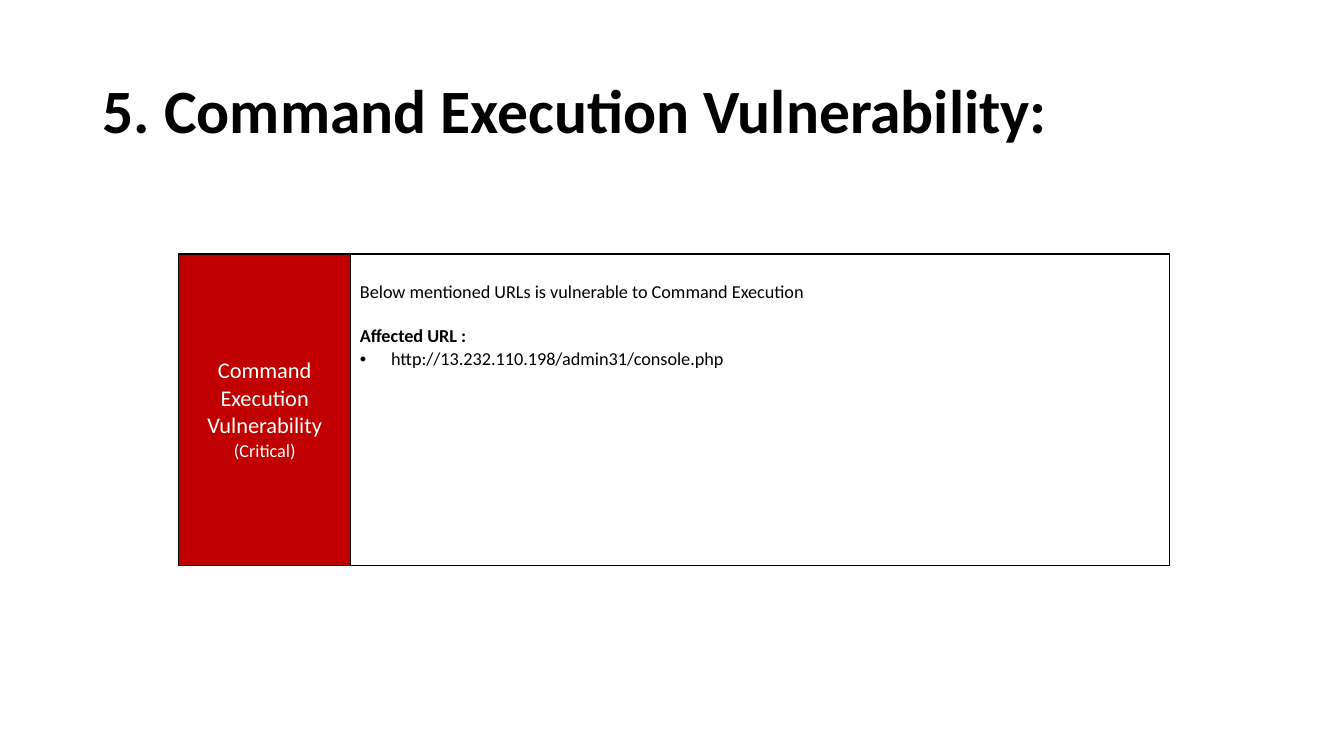
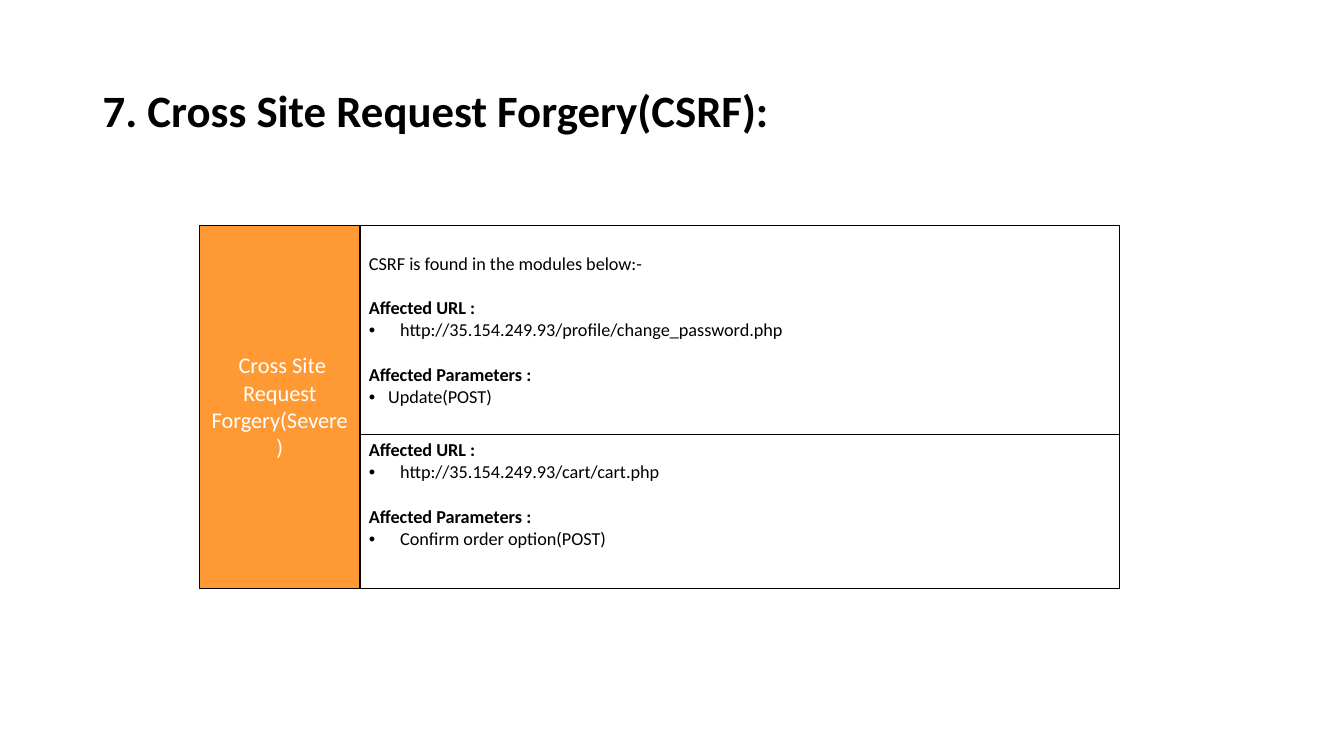
from lxml.etree import SubElement
from pptx import Presentation
from pptx.dml.color import RGBColor
from pptx.enum.text import MSO_ANCHOR, PP_ALIGN
from pptx.oxml.ns import qn
from pptx.util import Inches, Pt

FONT = "Calibri"
BLACK, WHITE, CRITICAL, SEVERE = "000000", "FFFFFF", "C00000", "FF9933"
BODY_SIZE = 13
BLANK_LINE = 15.9
SIDE_MARGIN, EDGE_MARGIN, TOP_GAP = 0.09, 0.05, 0.27
WIDE, NARROW = 0.31, 0.19
ALL_SIDES = ("lnL", "lnR", "lnT", "lnB")

# Each detail line: text, kind ("text", "heading" or "bullet"), bullet indent, gap above
SLIDES = [
    {
        "title": ("5. Command Execution Vulnerability:", 44),
        "position": (1.77, 2),
        "columns": (1.71, 8.12),
        "header": 0.52,
        "color": CRITICAL,
        "label": [("Command Execution Vulnerability", 16), ("(Critical)", 13)],
        "rows": [
            (3.09, TOP_GAP, [
                ("Below mentioned URLs is vulnerable to Command Execution", "text", 0, False),
                ("Affected URL :", "heading", 0, True),
                ("http://13.232.110.198/admin31/console.php", "bullet", WIDE, False),
            ]),
        ],
    },
    {
        "title": ("7. Cross Site Request Forgery(CSRF):", 32),
        "position": (1.98, 1.93),
        "columns": (1.59, 7.53),
        "header": 0.31,
        "color": SEVERE,
        "label": [(" Cross Site Request Forgery(Severe)", 16)],
        "rows": [
            (2.07, TOP_GAP, [
                ("CSRF is found in the modules below:-", "text", 0, False),
                ("Affected URL :", "heading", 0, True),
                ("http://35.154.249.93/profile/change_password.php", "bullet", WIDE, False),
                ("Affected Parameters :", "heading", 0, True),
                ("Update(POST)", "bullet", NARROW, False),
            ]),
            (1.53, EDGE_MARGIN, [
                ("Affected URL :", "heading", 0, False),
                ("http://35.154.249.93/cart/cart.php", "bullet", WIDE, False),
                ("Affected Parameters :", "heading", 0, True),
                ("Confirm order option(POST)", "bullet", WIDE, False),
            ]),
        ],
    },
]


def rgb(value):
    return RGBColor.from_string(value)


def add_run(paragraph, text, size, color=BLACK, bold=False):
    run = paragraph.add_run()
    run.text = text
    run.font.name = FONT
    run.font.size = Pt(size)
    run.font.bold = bold
    run.font.color.rgb = rgb(color)


def paragraphs_for(text_frame, lines):
    for index, line in enumerate(lines):
        yield (text_frame.add_paragraph() if index else text_frame.paragraphs[0]), line


def add_bullet(paragraph, indent):
    properties = paragraph._p.get_or_add_pPr()
    properties.set("marL", str(Inches(indent)))
    properties.set("indent", str(-Inches(indent)))
    SubElement(properties, qn("a:buFont"), typeface="Arial")
    SubElement(properties, qn("a:buChar"), char="•")


def add_borders(cell, visible_sides=ALL_SIDES):
    properties = cell._tc.get_or_add_tcPr()
    for side in ALL_SIDES:
        line = SubElement(properties, qn(f"a:{side}"), w=str(Pt(1)))
        if side in visible_sides:
            SubElement(SubElement(line, qn("a:solidFill")), qn("a:srgbClr"), val=BLACK)
        else:
            SubElement(line, qn("a:noFill"))


def style_header(cell):
    cell.margin_top = cell.margin_bottom = 0
    add_borders(cell, ("lnB",))
    cell.fill.background()


def style_cell(cell, color, top=EDGE_MARGIN):
    cell.margin_left = cell.margin_right = Inches(SIDE_MARGIN)
    cell.margin_top, cell.margin_bottom = Inches(top), Inches(EDGE_MARGIN)
    add_borders(cell)
    cell.fill.solid()
    cell.fill.fore_color.rgb = rgb(color)


def add_title(slide, text, size):
    box = slide.shapes.add_textbox(Inches(0.92), Inches(0.4), Inches(11.5), Inches(1.45))
    frame = box.text_frame
    frame.word_wrap = True
    frame.vertical_anchor = MSO_ANCHOR.MIDDLE
    frame.paragraphs[0].line_spacing = 0.9
    add_run(frame.paragraphs[0], text, size, bold=True)


def fill_label(cell, lines):
    cell.vertical_anchor = MSO_ANCHOR.MIDDLE
    for paragraph, (text, size) in paragraphs_for(cell.text_frame, lines):
        paragraph.alignment = PP_ALIGN.CENTER
        add_run(paragraph, text, size, WHITE)


def fill_details(cell, lines):
    for paragraph, (text, kind, indent, gap) in paragraphs_for(cell.text_frame, lines):
        if gap:
            paragraph.space_before = Pt(BLANK_LINE)
        if kind == "bullet":
            add_bullet(paragraph, indent)
        add_run(paragraph, text, BODY_SIZE, bold=kind == "heading")


def add_finding(slide, finding):
    left, top = finding["position"]
    columns, rows = finding["columns"], finding["rows"]
    heights = [finding["header"]] + [row[0] for row in rows]
    table = slide.shapes.add_table(
        len(heights), len(columns),
        Inches(left), Inches(top), Inches(sum(columns)), Inches(sum(heights)),
    ).table
    table.first_row = table.horz_banding = False
    for column, width in zip(table.columns, columns):
        column.width = Inches(width)
    for row, height in zip(table.rows, heights):
        row.height = Inches(height)
    for cell in table.rows[0].cells:
        style_header(cell)
    for index, (_, top_margin, lines) in enumerate(rows, start=1):
        style_cell(table.cell(index, 0), finding["color"])
        style_cell(table.cell(index, 1), WHITE, top_margin)
        fill_details(table.cell(index, 1), lines)
    label = table.cell(1, 0)
    if len(rows) > 1:
        label.merge(table.cell(len(rows), 0))
    fill_label(label, finding["label"])


def main():
    presentation = Presentation()
    presentation.slide_width, presentation.slide_height = Inches(13.33), Inches(7.5)
    for finding in SLIDES:
        slide = presentation.slides.add_slide(presentation.slide_layouts[6])
        add_title(slide, *finding["title"])
        add_finding(slide, finding)
    presentation.save("out.pptx")


if __name__ == "__main__":
    main()
